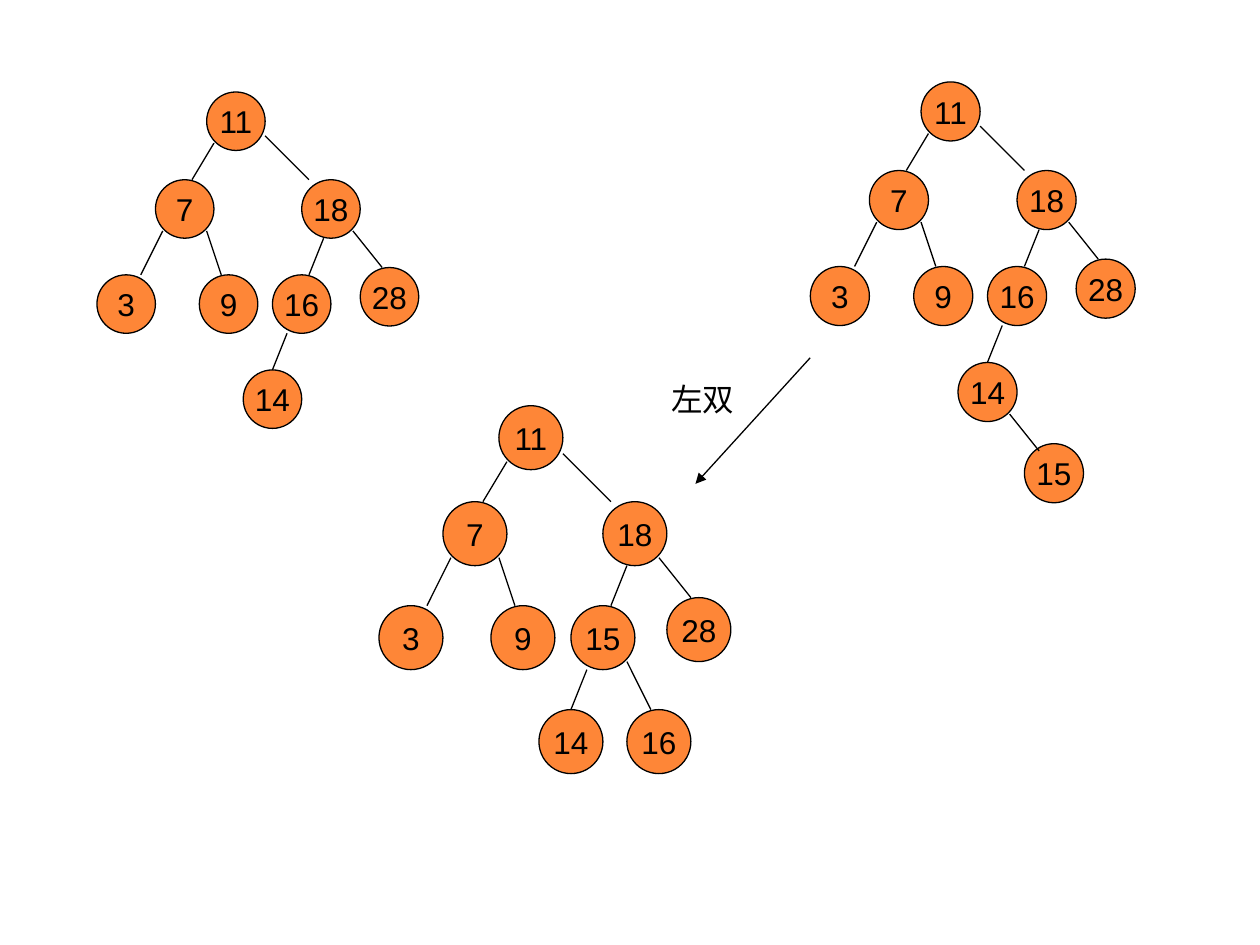
from dataclasses import dataclass

from lxml.etree import SubElement
from pptx import Presentation
from pptx.dml.color import RGBColor
from pptx.enum.shapes import MSO_CONNECTOR, MSO_SHAPE
from pptx.enum.text import MSO_ANCHOR, PP_ALIGN
from pptx.oxml.ns import qn
from pptx.util import Inches, Pt


@dataclass(frozen=True)
class Theme:
    node_fill: RGBColor = RGBColor(0xFE, 0x86, 0x37)
    ink: RGBColor = RGBColor(0, 0, 0)
    font: str = "Arial"
    text_size: int = 18
    line_width: float = 0.75


# Positions are in grid steps from the root's top left; a node is 8 steps wide
NODE_STEPS = 8
COMMON_NODES = [
    ("11", 0, 0), ("7", -7, 12), ("18", 13, 12),
    ("3", -15, 25), ("9", -1, 25), ("28", 21, 24), ("14", 5, 38),
]
COMMON_EDGES = [
    ((1, 7), (-2, 12)), ((8, 6), (14, 12)),
    ((-6, 19), (-9, 25)), ((0, 19), (2, 25)),
    ((16, 20), (14, 25)), ((20, 19), (24, 24)),
    ((11, 33), (9, 38)),
]


class TreeSlide:
    def __init__(self, deck, theme):
        self.theme = theme
        self.page = deck.slides.add_slide(deck.slide_layouts[6])

    def style_text(self, para):
        para.font.name = self.theme.font
        para.font.size = Pt(self.theme.text_size)
        para.font.color.rgb = self.theme.ink

    def style_line(self, line):
        line.color.rgb = self.theme.ink
        line.width = Pt(self.theme.line_width)

    def node(self, shapes, value, left, top, size):
        circle = shapes.add_shape(
            MSO_SHAPE.OVAL, Inches(left), Inches(top), Inches(size), Inches(size))
        circle.shadow.inherit = False
        circle.fill.solid()
        circle.fill.fore_color.rgb = self.theme.node_fill
        self.style_line(circle.line)
        frame = circle.text_frame
        frame.text = value
        frame.word_wrap = False
        frame.vertical_anchor = MSO_ANCHOR.MIDDLE
        frame.paragraphs[0].alignment = PP_ALIGN.CENTER
        self.style_text(frame.paragraphs[0])

    def line(self, shapes, start, end, arrow=False):
        ends = [Inches(value) for value in (*start, *end)]
        connector = shapes.add_connector(MSO_CONNECTOR.STRAIGHT, *ends)
        self.style_line(connector.line)
        if arrow:
            SubElement(connector.line._get_or_add_ln(), qn("a:tailEnd"), type="triangle")
        SubElement(connector._element.spPr, qn("a:effectLst"))

    def tree(self, left, top, height, extra_nodes, extra_edges=()):
        nodes = COMMON_NODES + list(extra_nodes)
        step = height / (max(row for _, _, row in nodes) + NODE_STEPS)

        def place(column, row):
            return left + column * step, top + row * step

        shapes = self.page.shapes.add_group_shape().shapes
        for value, column, row in nodes:
            self.node(shapes, value, *place(column, row), NODE_STEPS * step)
        for start, end in COMMON_EDGES + list(extra_edges):
            self.line(shapes, place(*start), place(*end))

    def label(self, text, left, top, width, height):
        box = self.page.shapes.add_textbox(
            Inches(left), Inches(top), Inches(width), Inches(height))
        box.text_frame.word_wrap = True
        box.text_frame.text = text
        self.style_text(box.text_frame.paragraphs[0])


def main():
    deck = Presentation()
    deck.slide_width, deck.slide_height = Inches(10), Inches(7.5)
    slide = TreeSlide(deck, Theme())

    # Balanced tree
    slide.tree(1.64, 0.73, 2.67, [("16", 9, 25)])
    # After inserting 15
    slide.tree(7.31, 0.65, 3.34, [("16", 9, 25), ("15", 14, 49)],
               [((12, 45), (16, 50))])
    # After the double rotation
    slide.tree(3.96, 3.22, 2.92, [("15", 9, 25), ("16", 16, 38)],
               [((16, 32), (19, 38))])

    # Rotation arrow and its label
    slide.line(slide.page.shapes, (6.43, 2.84), (5.52, 3.84), arrow=True)
    slide.label("左双", 5.23, 2.97, 0.83, 0.4)

    deck.save("out.pptx")


if __name__ == "__main__":
    main()
